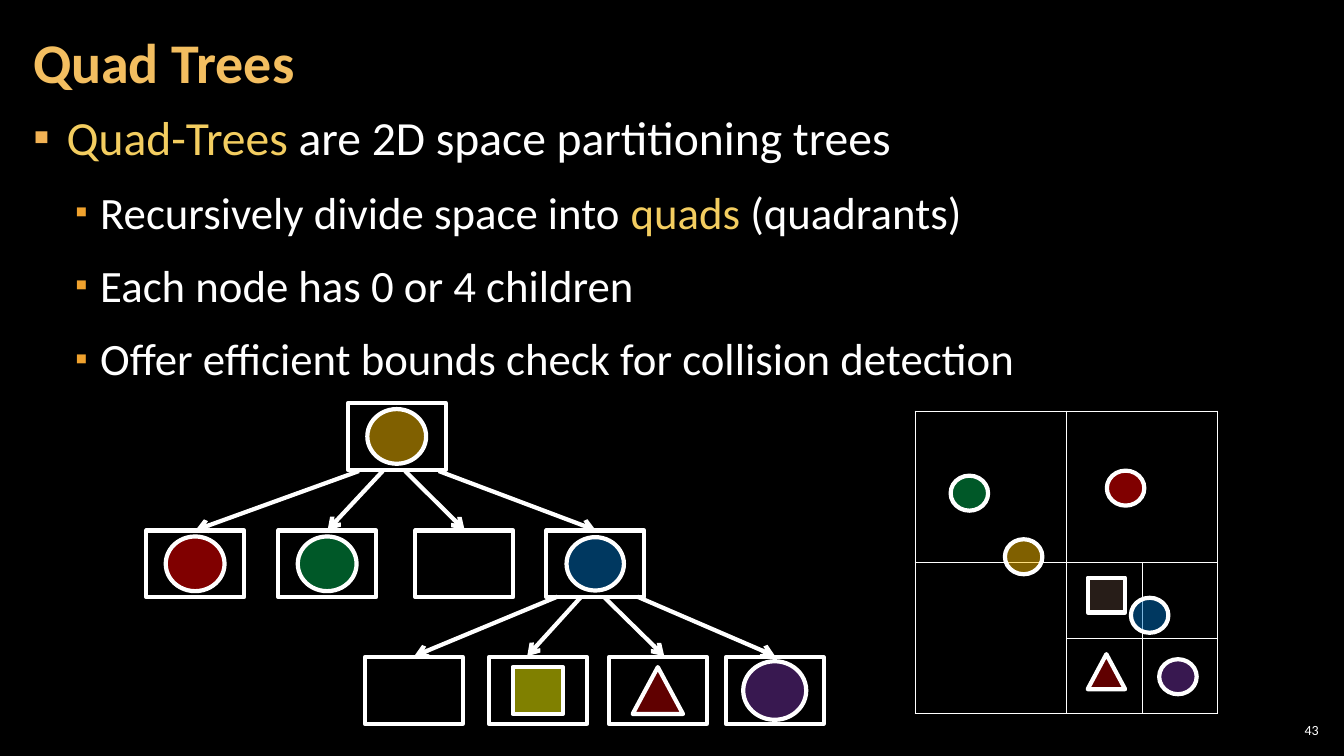
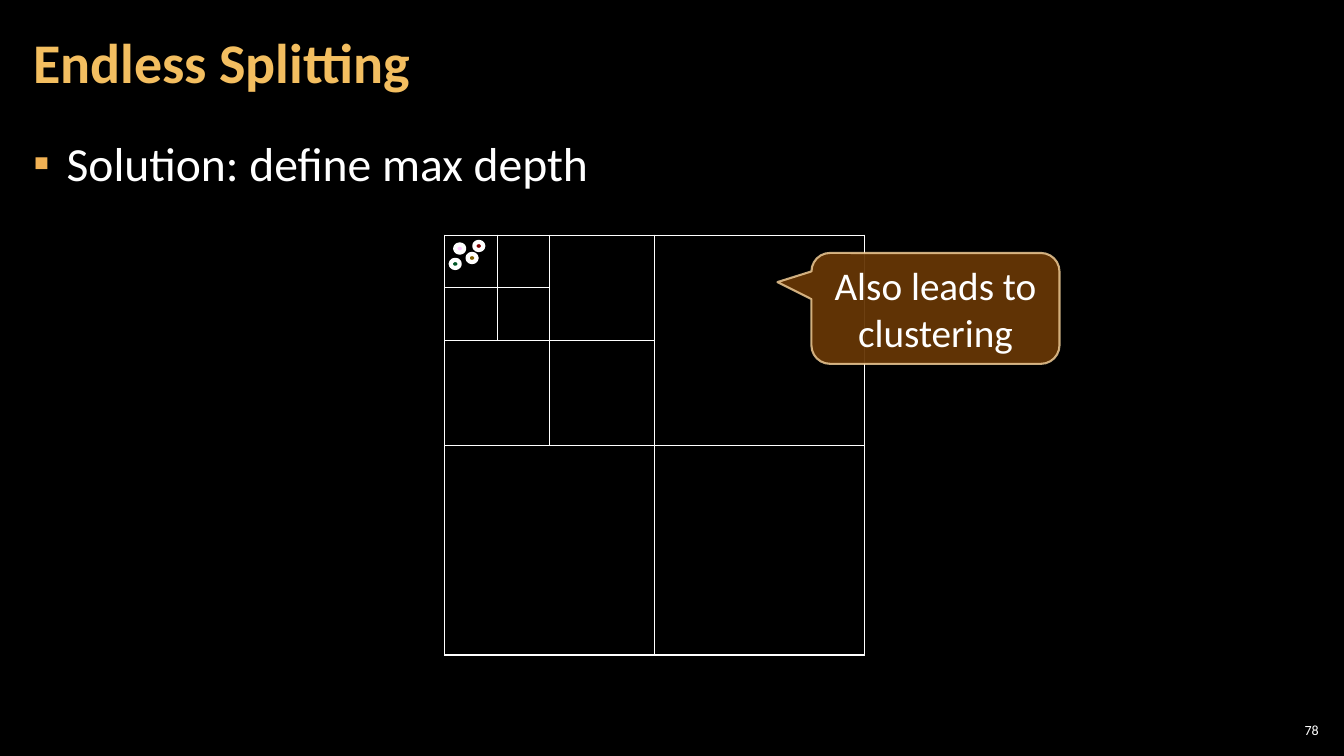
from lxml.etree import SubElement
from pptx import Presentation
from pptx.dml.color import RGBColor
from pptx.enum.shapes import MSO_CONNECTOR, MSO_SHAPE as Preset
from pptx.enum.text import MSO_ANCHOR as Anchor, MSO_AUTO_SIZE as AutoSize, PP_ALIGN as Align
from pptx.oxml.ns import qn
from pptx.util import Pt

COLORS = {
    "black": "000000", "white": "FFFFFF", "title": "F3BE60", "key": "F3CD60",
    "bullet": "F2B254", "subbullet": "F0A22E", "red": "FF0000", "green": "00B050",
    "amber": "FFC000", "blue": "0070C0", "purple": "7030A0", "crimson": "C00000",
    "yellow": "FFFF00", "umber": "4E3B30", "pink": "FFCCFF",
    "callout": "663606", "callout line": "F8D49E",
}
RGB = {name: RGBColor.from_string(value) for name, value in COLORS.items()}
FONT = "Calibri"


def add_outlined(page, kind, box, fill=None, opacity=50, line="white", width=3, line_opacity=100):
    """Add a preset shape with an outline and an optional, see-through fill."""
    shape = page.shapes.add_shape(kind, *[Pt(value) for value in box])
    shape.shadow.inherit = False
    shape.line.color.rgb = RGB[line]
    shape.line.width = Pt(width)
    if fill:
        shape.fill.solid()
        shape.fill.fore_color.rgb = RGB[fill]
    else:
        shape.fill.background()
    properties = shape._element.spPr
    for route, percent in (("a:solidFill/a:srgbClr", opacity),
                           ("a:ln/a:solidFill/a:srgbClr", line_opacity)):
        for color in properties.xpath(route):
            if percent < 100:
                SubElement(color, qn("a:alpha"), val=str(percent * 1000))
    return shape


def add_quad_table(page, left, top, sizes, spans):
    """Add a square grid; a span (i, first, last) merges cells in both row i and column i."""
    count, side = len(sizes), Pt(sum(sizes))
    frame = page.shapes.add_table(count, count, Pt(left), Pt(top), side, side)
    table = frame.table
    table.first_row = table.horz_banding = False
    for index, size in enumerate(sizes):
        table.columns[index].width = table.rows[index].height = Pt(size)
    for cell in table.iter_cells():
        properties = cell._tc.get_or_add_tcPr()
        for edge in ("a:lnL", "a:lnR", "a:lnT", "a:lnB"):
            border = SubElement(properties, qn(edge), w=str(Pt(1)))
            SubElement(SubElement(border, qn("a:solidFill")), qn("a:srgbClr"), val=COLORS["white"])
        cell.fill.background()
    for index, first, last in spans:
        table.cell(index, first).merge(table.cell(index, last))
        table.cell(first, index).merge(table.cell(last, index))


deck = Presentation()
deck.slide_width, deck.slide_height = Pt(960), Pt(540)
background = deck.slide_master.background.fill
background.solid()
background.fore_color.rgb = RGB["black"]

# Shared frame: title, bullet list and page number.
# Each list item is a level and its spans; a span is a text and a colour.
CONTENTS = [
    ("Quad Trees", "43", 72, [
        (0, [("Quad-Trees", "key"), (" are 2D space partitioning trees", "white")]),
        (1, [("Recursively divide space into ", "white"), ("quads", "key"),
             (" (quadrants)", "white")]),
        (1, [("Each node has 0 or 4 children", "white")]),
        (1, [("Offer efficient bounds check for collision detection", "white")]),
    ]),
    ("Endless Splitting", "78", 90.7, [(0, [("Solution: define max depth", "white")])]),
]
LEVELS = [
    {"size": 34, "margin": 24, "hang": 24, "bullet": "bullet", "scale": 100},
    {"size": 32, "margin": 48, "hang": 18, "bullet": "subbullet", "scale": 80},
]
pages = []
for title_text, number_text, body_top, items in CONTENTS:
    page = deck.slides.add_slide(deck.slide_layouts[1])
    pages.append(page)
    title, body = page.placeholders
    number = page.shapes.add_textbox(0, 0, 0, 0)
    for shape, place, inset, anchor in (
        (title, (15, 3, 754, 87), 8.6, Anchor.MIDDLE),
        (body, (15, body_top, 930, 529 - body_top), 8.6, Anchor.TOP),
        (number, (911, 514, 34, 15), 3, Anchor.MIDDLE),
    ):
        shape.left, shape.top, shape.width, shape.height = [Pt(value) for value in place]
        settings = {"word_wrap": True, "auto_size": AutoSize.NONE, "vertical_anchor": anchor,
                    "margin_left": Pt(inset), "margin_right": Pt(inset),
                    "margin_top": Pt(3), "margin_bottom": Pt(3)}
        for name, value in settings.items():
            setattr(shape.text_frame, name, value)

    for shape, text, size, color, bold, align, spacing in (
        (title, title_text, 40, "title", True, Align.LEFT, 0.9),
        (number, number_text, 10, "white", False, Align.RIGHT, 1.0),
    ):
        para = shape.text_frame.paragraphs[0]
        para.alignment, para.line_spacing = align, spacing
        span = para.add_run()
        span.text = text
        span.font.name, span.font.size, span.font.bold = FONT, Pt(size), bold
        span.font.color.rgb = RGB[color]

    for index, (level, spans) in enumerate(items):
        frame, style = body.text_frame, LEVELS[level]
        para = frame.add_paragraph() if index else frame.paragraphs[0]
        para.level = level
        para.line_spacing = 1.05
        para.space_before, para.space_after = Pt(6 if index else 0), Pt(6)
        properties = para._p.get_or_add_pPr()
        properties.set("marL", str(Pt(style["margin"])))
        properties.set("indent", str(-Pt(style["hang"])))
        SubElement(SubElement(properties, qn("a:buClr")), qn("a:srgbClr"),
                   val=COLORS[style["bullet"]])
        SubElement(properties, qn("a:buSzPct"), val=str(style["scale"] * 1000))
        SubElement(properties, qn("a:buChar"), char="▪")
        for text, color in spans:
            span = para.add_run()
            span.text = text
            span.font.name, span.font.size = FONT, Pt(style["size"])
            span.font.color.rgb = RGB[color]

tree_page, depth_page = pages

# Tree: each node is a box with an optional token in its centre.
NODE_WIDTH, NODE_HEIGHT = 70, 47.5
TREE_ROWS = [
    (288, [(248.4, Preset.OVAL, "amber", 42)]),
    (379, [(104.4, Preset.OVAL, "red", 42), (198.7, Preset.OVAL, "green", 42),
           (296.6, None, None, 0), (390.2, Preset.OVAL, "blue", 41)]),
    (469.5, [(260.6, None, None, 0), (349.2, Preset.RECTANGLE, "yellow", 36),
             (434.9, Preset.ISOSCELES_TRIANGLE, "crimson", 36),
             (518.4, Preset.OVAL, "purple", 45)]),
]
for top, nodes in TREE_ROWS:
    for left, kind, color, width in nodes:
        add_outlined(tree_page, Preset.RECTANGLE, (left, top, NODE_WIDTH, NODE_HEIGHT))
        if kind:
            height = width * 0.93
            add_outlined(tree_page, kind, (left + (NODE_WIDTH - width) / 2,
                                           top + (NODE_HEIGHT - height) / 2, width, height), color)

# Four arrows leave each parent at fixed offsets from its centre.
BRANCHES = [
    (283.4, 336.5, 378.7, (139.7, 234, 331.9, 425.5)),
    (425.2, 426.2, 468.7, (295.9, 376.6, 474.5, 553.7)),
]
for center, start, end, tips in BRANCHES:
    for offset, tip in zip((-27, -10, 6, 30), tips):
        arrow = tree_page.shapes.add_connector(
            MSO_CONNECTOR.STRAIGHT, Pt(center + offset), Pt(start), Pt(tip), Pt(end))
        arrow.line.color.rgb = RGB["white"]
        arrow.line.width = Pt(3)
        SubElement(arrow.line._get_or_add_ln(), qn("a:tailEnd"), type="arrow")
        SubElement(arrow._element.spPr, qn("a:effectLst"))

# The same objects in the divided plane.
add_quad_table(tree_page, 653.8, 293.8, (108, 54, 54), [(0, 1, 2)])
for kind, left, top, color in (
    (Preset.OVAL, 679, 339.8, "green"),
    (Preset.OVAL, 790.6, 336.2, "red"),
    (Preset.OVAL, 717.8, 385.2, "amber"),
    (Preset.OVAL, 807.8, 427, "blue"),
    (Preset.OVAL, 828, 470.9, "purple"),
    (Preset.ISOSCELES_TRIANGLE, 776.9, 467.3, "crimson"),
    (Preset.RECTANGLE, 776.9, 412.6, "umber"),
):
    add_outlined(tree_page, kind, (left, top, 26.8, 25), color)

# Repeated splitting around one cluster.
add_quad_table(depth_page, 317.8, 168, (37.5, 37.5, 75, 150), [(2, 0, 1), (3, 0, 2)])
for left, top, color, opacity in (
    (322, 185.6, "green", 50),
    (338.8, 172.8, "red", 50),
    (334, 181.4, "amber", 50),
    (325.2, 174.6, "pink", 100),
):
    add_outlined(depth_page, Preset.OVAL, (left, top, 6.4, 5.8), color, opacity)

callout = add_outlined(depth_page, Preset.ROUNDED_RECTANGULAR_CALLOUT, (579.6, 180.7, 177.2, 79.2),
                       "callout", 95, "callout line", 1.5, 80)
for index, value in enumerate((-0.637, -0.237, 0.167)):
    callout.adjustments[index] = value
callout.text_frame.word_wrap = True
callout.text_frame.vertical_anchor = Anchor.MIDDLE
para = callout.text_frame.paragraphs[0]
para.alignment = Align.CENTER
span = para.add_run()
span.text = "Also leads to clustering"
span.font.name, span.font.size = FONT, Pt(28)
span.font.color.rgb = RGB["white"]

deck.save("out.pptx")
